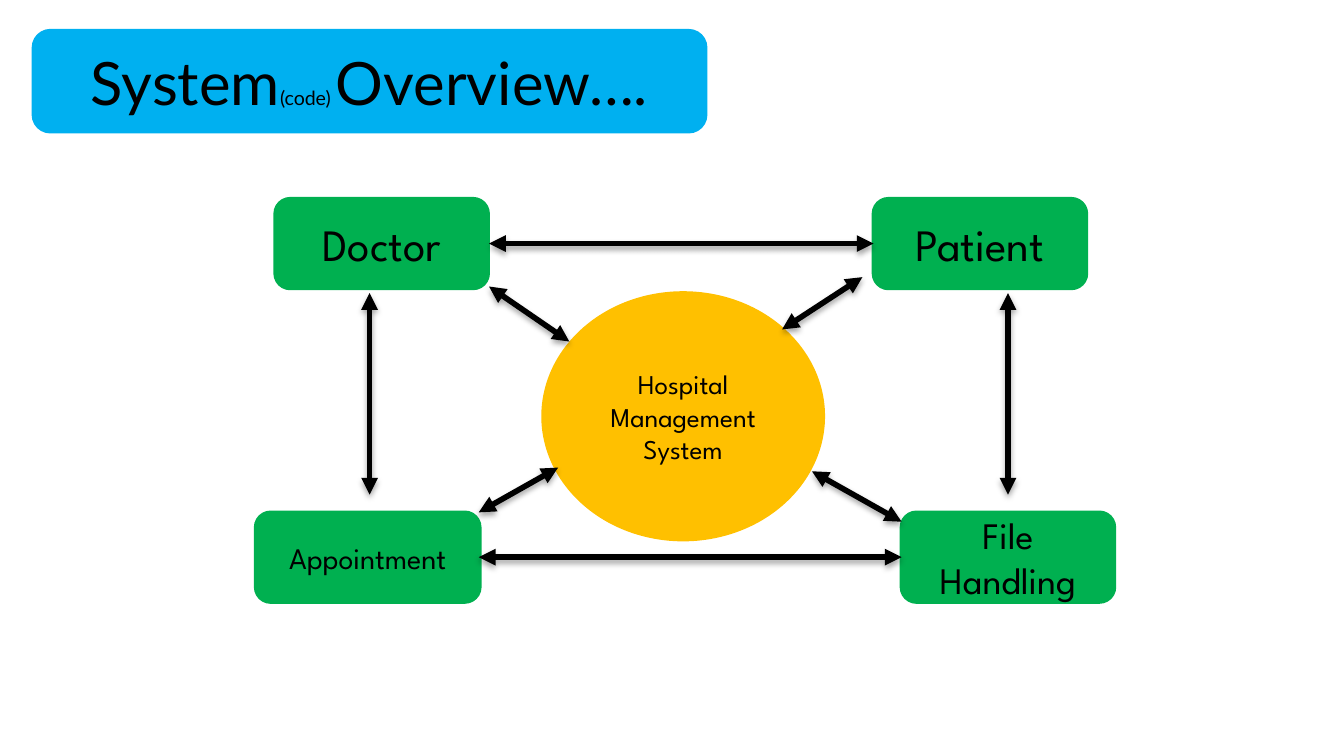
import pptx
import pptx.dml.color
import pptx.enum.shapes
import pptx.enum.text
import pptx.oxml
import pptx.oxml.ns
import pptx.util

Pt = pptx.util.Pt
RGBColor = pptx.dml.color.RGBColor
MSO_SHAPE = pptx.enum.shapes.MSO_SHAPE

BLUE = RGBColor(0x00, 0xB0, 0xF0)
GREEN = RGBColor(0x00, 0xB0, 0x50)
AMBER = RGBColor(0xFF, 0xC0, 0x00)
BLACK = RGBColor(0x00, 0x00, 0x00)
TITLE_FONT, LABEL_FONT = "Lato", "League Spartan"

# Content: text pieces with their sizes
TITLE = [("System", 32), ("(code) ", 10.5), ("Overview….", 32)]
HUB = [("Hospital Management System", 14.5)]

# Modules: label, size, left, width, row top
TOP_ROW, BOTTOM_ROW, MODULE_HEIGHT = 106.5, 274.5, 48
MODULES = [
    ("File Handling", 20, 483, 114, BOTTOM_ROW),
    ("Patient", 24, 468, 114, TOP_ROW),
    ("Appointment", 16, 137, 120, BOTTOM_ROW),
    ("Doctor", 24, 147.5, 114, TOP_ROW),
]

# Links: start x, start y, end x, end y
TOP_MIDDLE = TOP_ROW + MODULE_HEIGHT / 2
BOTTOM_MIDDLE = BOTTOM_ROW + MODULE_HEIGHT / 2
LINKS = [
    (198, 157, 198, 265),                         # Doctor - Appointment
    (256.5, BOTTOM_MIDDLE, 483, BOTTOM_MIDDLE),   # Appointment - File Handling
    (540, 157, 540, 265),                         # Patient - File Handling
    (262, TOP_MIDDLE, 468, TOP_MIDDLE),           # Doctor - Patient
    (256.5, 274.5, 299, 250.5),                   # Appointment - hub
    (419, 176.5, 462, 148.5),                     # hub - Patient
    (435, 252.5, 483, 279.5),                     # hub - File Handling
    (262, 153.5, 305, 183),                       # Doctor - hub
]

LINK_SHADOW = (
    f'<a:effectLst {pptx.oxml.ns.nsdecls("a")}>'
    f'<a:outerShdw blurRad="{Pt(3.1)}" dist="{Pt(1.8)}" dir="5400000" rotWithShape="0">'
    '<a:srgbClr val="000000"><a:alpha val="35000"/></a:srgbClr>'
    '</a:outerShdw></a:effectLst>'
)


def add_label(slide, pieces, *, kind=MSO_SHAPE.ROUNDED_RECTANGLE, box, color, font=LABEL_FONT):
    """Draw a filled shape with centred text made of (text, size) pieces."""
    label = slide.shapes.add_shape(kind, *(Pt(length) for length in box))
    label.shadow.inherit = False
    label.fill.solid()
    label.fill.fore_color.rgb = color
    label.line.color.rgb = color
    label.line.width = Pt(2)
    frame = label.text_frame
    frame.word_wrap = True
    frame.vertical_anchor = pptx.enum.text.MSO_ANCHOR.MIDDLE
    line = frame.paragraphs[0]
    line.alignment = pptx.enum.text.PP_ALIGN.CENTER
    for text, size in pieces:
        run = line.add_run()
        run.text = text
        run.font.name = font
        run.font.size = Pt(size)
        run.font.color.rgb = BLACK


def add_link(slide, ends):
    """Draw a double-headed arrow with a soft shadow."""
    link = slide.shapes.add_connector(
        pptx.enum.shapes.MSO_CONNECTOR.STRAIGHT, *(Pt(length) for length in ends))
    link.line.color.rgb = BLACK
    link.line.width = Pt(3)
    outline = link.line._get_or_add_ln()
    for end in ("headEnd", "tailEnd"):
        outline.append(pptx.oxml.parse_xml(
            f'<a:{end} {pptx.oxml.ns.nsdecls("a")} type="triangle"/>'))
    link._element.spPr.append(pptx.oxml.parse_xml(LINK_SHADOW))


def main():
    deck = pptx.Presentation()
    deck.slide_width, deck.slide_height = Pt(720), Pt(405)
    slide = deck.slides.add_slide(deck.slide_layouts[6])

    # Title and central hub
    add_label(slide, TITLE, box=(18, 16.5, 360, 54), color=BLUE, font=TITLE_FONT)
    add_label(slide, HUB, kind=MSO_SHAPE.OVAL, box=(291, 157, 150, 132), color=AMBER)

    # Modules around the hub
    for text, size, left, width, top in MODULES:
        add_label(slide, [(text, size)], box=(left, top, width, MODULE_HEIGHT), color=GREEN)

    # Links between the parts
    for ends in LINKS:
        add_link(slide, ends)

    deck.save("out.pptx")


if __name__ == "__main__":
    main()
